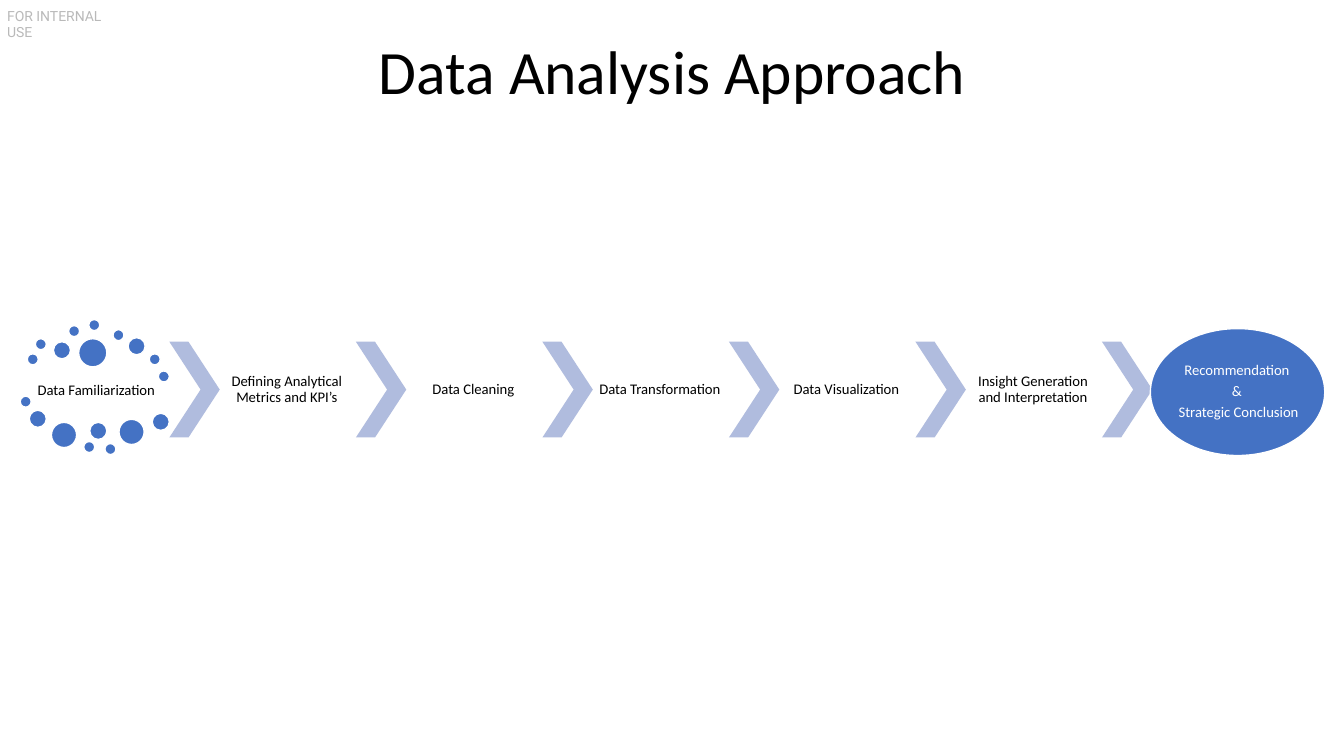
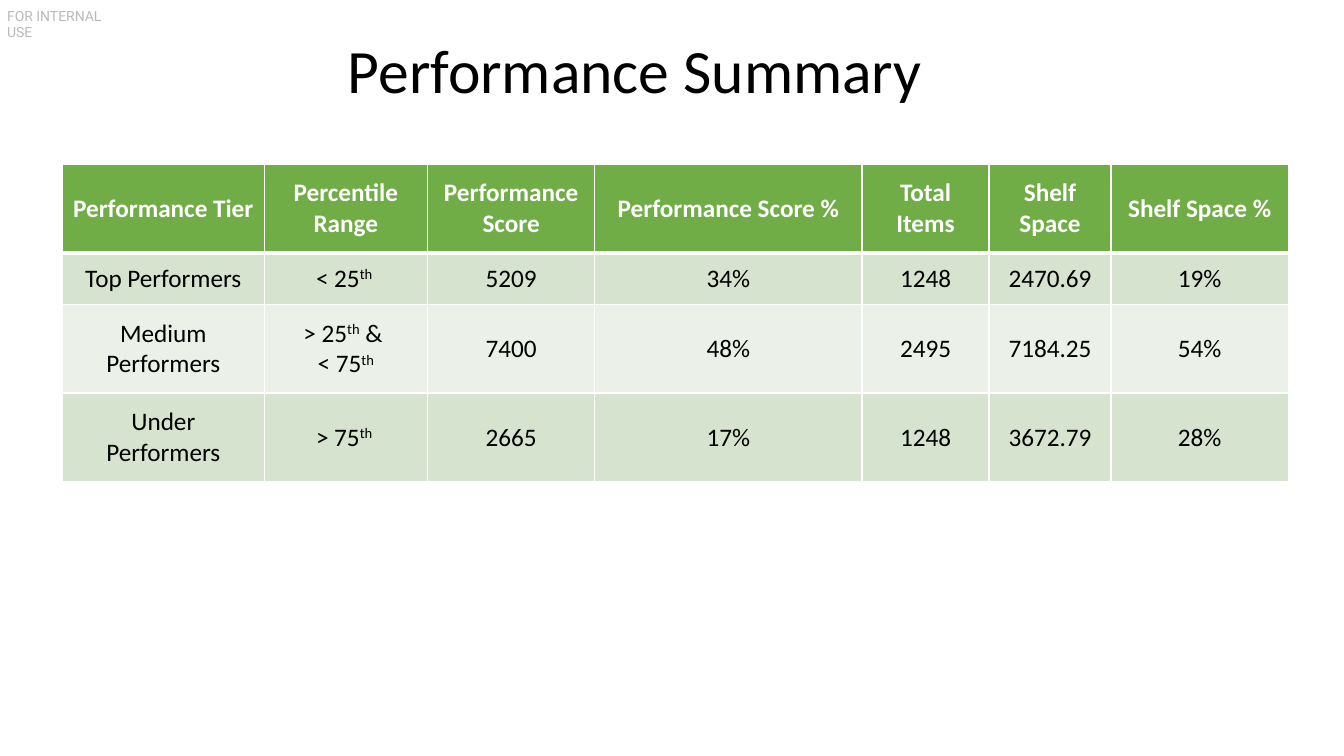
import pptx
import pptx.dml.color
import pptx.enum.dml
import pptx.enum.shapes
import pptx.enum.text
import pptx.oxml.ns
import pptx.util
import lxml.etree

Inches = pptx.util.Inches
Pt = pptx.util.Pt
Kind = pptx.enum.shapes.MSO_SHAPE
Anchor = pptx.enum.text.MSO_ANCHOR
Align = pptx.enum.text.PP_ALIGN
qn = pptx.oxml.ns.qn

BLACK, WHITE, GREY = "000000", "FFFFFF", "747474"
BLUE, PALE = "4472C4", "B0BCDE"
GREEN, BANDS = "70AD47", ("D5E3CF", "EBF1E9")


def rgb(code):
    return pptx.dml.color.RGBColor.from_string(code)


def paint(fill, code):
    fill.solid()
    fill.fore_color.rgb = rgb(code)


def edge(cell, side, width):
    """Draw a white border on one side (L, R, T or B) of a table cell."""
    props = cell._tc.get_or_add_tcPr()
    line = lxml.etree.SubElement(props, qn("a:ln" + side), w=str(Pt(width)))
    fill = lxml.etree.SubElement(line, qn("a:solidFill"))
    lxml.etree.SubElement(fill, qn("a:srgbClr"), val=WHITE)


class Deck:
    """Holds the style and the current slide."""

    font = "Calibri"

    def __init__(self):
        self.file = pptx.Presentation()
        self.file.slide_width = Inches(13.33)
        self.file.slide_height = Inches(7.5)
        self.slide = None

    def page(self, title, left, top):
        self.slide = self.file.slides.add_slide(self.file.slide_layouts[5])
        self.label()
        head = self.slide.shapes.title
        head.left, head.top = Inches(left), Inches(top)
        head.width, head.height = Inches(11.5), Inches(1.45)
        frame = head.text_frame
        frame.auto_size = pptx.enum.text.MSO_AUTO_SIZE.NONE
        frame.vertical_anchor = Anchor.MIDDLE
        self.text(frame, [title], 44, space=0.9)

    def text(self, frame, lines, size, color=BLACK, bold=False,
             space=None, after=0, align=Align.CENTER, font=None):
        """Fill a text frame; every second part between ^ marks is raised."""
        for row, line in enumerate(lines):
            para = frame.add_paragraph() if row else frame.paragraphs[0]
            para.alignment = align
            para.line_spacing = space
            para.space_before, para.space_after = Pt(0), Pt(after)
            for part, words in enumerate(line.split("^")):
                run = para.add_run()
                run.text = words
                run.font.name = font or self.font
                run.font.size = Pt(size)
                run.font.bold = bold
                run.font.color.rgb = rgb(color)
                if part % 2:
                    run._r.get_or_add_rPr().set("baseline", "30000")

    def box(self, left, top, width, height, inset):
        frame = self.slide.shapes.add_textbox(
            Inches(left), Inches(top), Inches(width), Inches(height)).text_frame
        frame.word_wrap = True
        frame.margin_left = frame.margin_right = Inches(inset)
        frame.margin_top = frame.margin_bottom = Inches(inset)
        return frame

    def label(self):
        frame = self.box(0.07, 0.07, 1.22, 0.17, 0)
        self.text(frame, ["FOR INTERNAL USE"], 10, GREY,
                  align=Align.LEFT, font="Roboto")
        for tint in frame._txBody.iter(qn("a:srgbClr")):
            lxml.etree.SubElement(tint, qn("a:alpha"), val="50000")

    def step(self, left, top, width, height, lines, color=BLACK, inset=0.02):
        frame = self.box(left, top, width, height, inset)
        frame.vertical_anchor = Anchor.MIDDLE
        self.text(frame, lines, 10.5, color, space=0.9, after=3.5)

    def shape(self, kind, left, top, width, height, color, line=None):
        item = self.slide.shapes.add_shape(
            kind, Inches(left), Inches(top), Inches(width), Inches(height))
        item.shadow.inherit = False
        paint(item.fill, color)
        if line:
            paint(item.line.fill, line)
            item.line.width = Pt(1)
        else:
            item.line.fill.background()
        return item

    def oval(self, left, top, width, height):
        self.shape(Kind.OVAL, left, top, width, height, BLUE, WHITE)

    def arrow(self, left, top):
        item = self.shape(Kind.CHEVRON, left, top, 0.5, 0.95, PALE)
        item.adjustments[0] = 0.62

    def table(self, left, top, widths, heights, rows):
        grid = self.slide.shapes.add_table(
            len(rows), len(widths), Inches(left), Inches(top),
            Inches(sum(widths)), Inches(sum(heights))).table
        for col, width in zip(grid.columns, widths):
            col.width = Inches(width)
        for y, (height, row) in enumerate(zip(heights, rows)):
            grid.rows[y].height = Inches(height)
            head = y == 0
            for x, words in enumerate(row):
                cell = grid.cell(y, x)
                cell.vertical_anchor = Anchor.MIDDLE
                edge(cell, "L", 1)
                edge(cell, "R", 1)
                edge(cell, "T", 3 if y == 1 else 1)
                edge(cell, "B", 3 if head else 1)
                paint(cell.fill, GREEN if head else BANDS[(y - 1) % 2])
                self.text(cell.text_frame, words.split("\n"), 18,
                          WHITE if head else BLACK, head)


DOTS = {
    0.11: [(0.27, 3.51), (0.35, 3.36), (0.68, 3.23), (0.88, 3.17),
           (1.12, 3.27), (1.48, 3.51), (1.57, 3.68), (0.2, 3.93),
           (0.83, 4.38), (1.04, 4.4)],
    0.17: [(0.53, 3.39), (1.27, 3.35), (0.29, 4.07), (0.89, 4.19),
           (1.51, 4.1)],
    0.25: [(0.51, 4.19), (1.18, 4.16)],
    0.28: [(0.78, 3.36)],
}
STEPS = ["Defining Analytical Metrics and KPI’s", "Data Cleaning",
         "Data Transformation", "Data Visualization",
         "Insight Generation and Interpretation"]
TIERS = [
    ["Performance Tier", "Percentile Range", "Performance Score",
     "Performance Score %", "Total Items", "Shelf Space", "Shelf Space %"],
    ["Top Performers", "< 25^th ", "5209", "34%", "1248", "2470.69", "19%"],
    ["Medium Performers", "> 25^th^ & \n< 75^th", "7400", "48%", "2495",
     "7184.25", "54%"],
    ["Under Performers", "> 75^th ", "2665", "17%", "1248", "3672.79", "28%"],
]


def approach(deck):
    deck.page("Data Analysis Approach", 0.92, 0.01)
    deck.step(0.28, 3.65, 1.35, 0.45, ["Data Familiarization"])
    for size, spots in DOTS.items():
        for left, top in spots:
            deck.oval(left, top, size, size)
    start, pitch, top = 1.68, 1.85, 3.39
    for i, words in enumerate(STEPS):
        left = start + i * pitch
        deck.arrow(left, top)
        deck.step(left + 0.49, top, 1.35, 0.95, [words])
    deck.arrow(start + len(STEPS) * pitch, top)
    deck.oval(11.41, 3.26, 1.73, 1.26)
    deck.step(11.67, 3.44, 1.23, 0.89,
              ["Recommendation ", "& ", "Strategic Conclusion"], WHITE, 0)


def summary(deck):
    deck.page("Performance Summary ", 0.62, 0)
    deck.table(0.62, 1.63, [2, 1.62, 1.66, 2.65, 1.26, 1.21, 1.76],
               [0.88, 0.51, 0.88, 0.88], TIERS)


def main():
    deck = Deck()
    approach(deck)
    summary(deck)
    deck.file.save("out.pptx")


if __name__ == "__main__":
    main()
